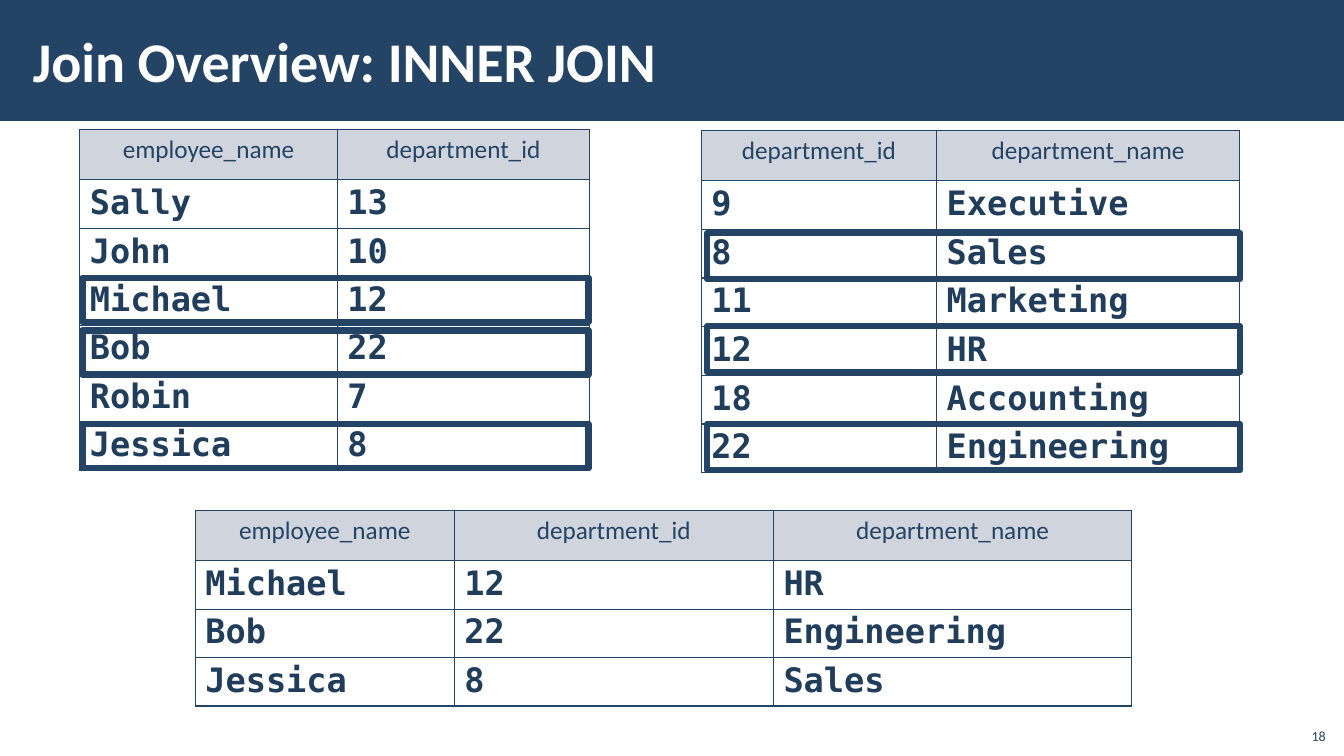
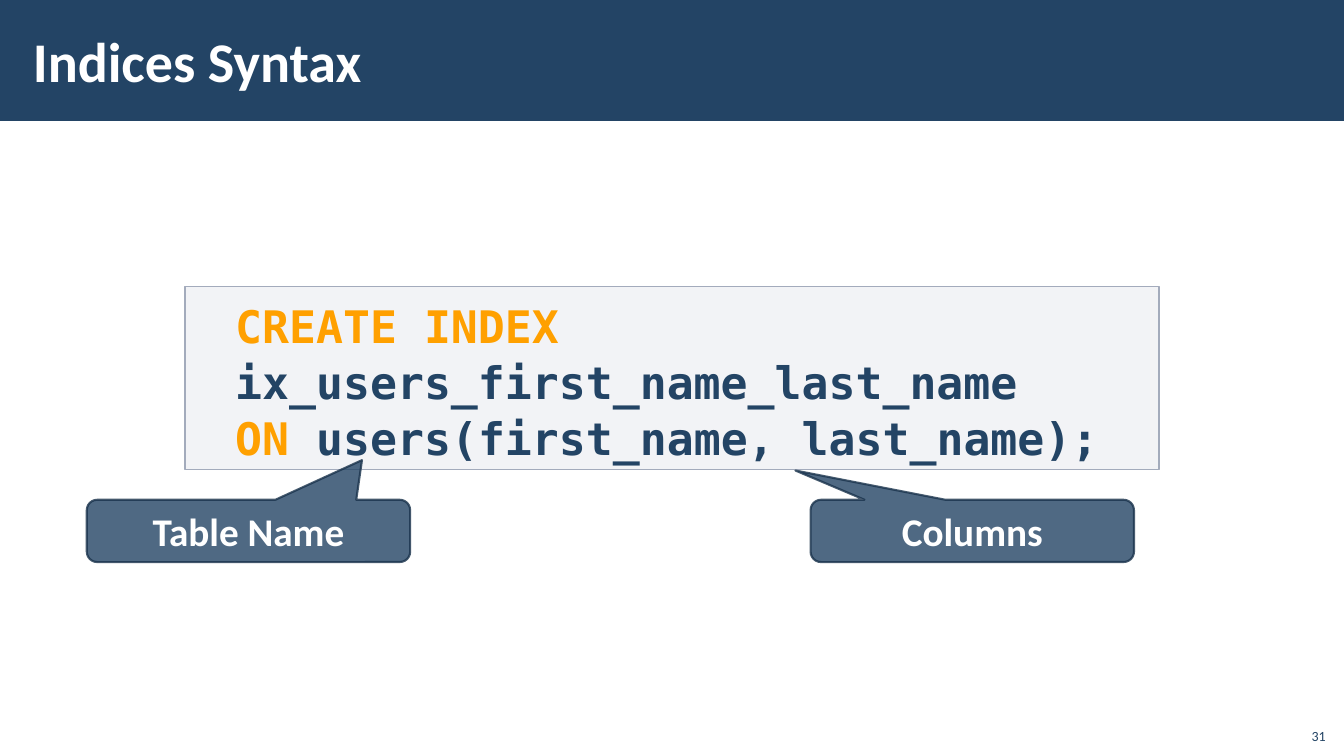
from lxml import etree
from pptx import Presentation
from pptx.dml.color import RGBColor
from pptx.enum import shapes, text
from pptx.oxml import ns
from pptx.util import Pt

COLORS = {
    "navy": "234465",
    "cell_text": "203D5B",
    "edge": "1A334C",
    "grey": "A3ABBC",
    "code_fill": "C2C7D2",
    "keyword": "FFA000",
    "white": "FFFFFF",
}
SANS, MONO = "Calibri", "DejaVu Sans Mono"
SHAPE = shapes.MSO_SHAPE
ALIGN, ANCHOR = text.PP_ALIGN, text.MSO_ANCHOR
HEADER_HEIGHT = 36


def rgb(name):
    return RGBColor.from_string(COLORS[name])


def set_opacity(element, percent):
    """Make every colour already set inside the element translucent."""
    for color in element.iter(ns.qn("a:srgbClr")):
        etree.SubElement(color, ns.qn("a:alpha"), val=str(percent * 1000))


def add_run(paragraph, words, size, color, font=SANS, bold=False):
    run = paragraph.add_run()
    run.text = words
    run.font.size, run.font.name, run.font.bold = Pt(size), font, bold
    run.font.color.rgb = rgb(color)


def set_insets(frame, horizontal, vertical):
    frame.margin_left = frame.margin_right = Pt(horizontal)
    frame.margin_top = frame.margin_bottom = Pt(vertical)


def add_box(slide, kind, box, fill=None, opacity=None, line=None, weight=1):
    shape = slide.shapes.add_shape(kind, *map(Pt, box))
    shape.shadow.inherit = False
    if fill:
        shape.fill.solid()
        shape.fill.fore_color.rgb = rgb(fill)
        if opacity:
            set_opacity(shape.element.spPr, opacity)
    else:
        shape.fill.background()
    if line:
        shape.line.color.rgb = rgb(line)
        shape.line.width = Pt(weight)
    else:
        shape.line.fill.background()
    return shape


def add_label(slide, box, words, size, color, align, anchor, bold=False):
    frame = slide.shapes.add_textbox(*map(Pt, box)).text_frame
    frame.word_wrap = True
    frame.vertical_anchor = anchor
    frame.paragraphs[0].alignment = align
    add_run(frame.paragraphs[0], words, size, color, bold=bold)
    return frame


def add_slide(deck, title, number):
    """Add a slide with the title band and the page number."""
    slide = deck.slides.add_slide(deck.slide_layouts[6])
    add_box(slide, SHAPE.RECTANGLE, (0, 0, 960, 86.4), "navy")
    heading = add_label(slide, (15, 8, 765, 70), title, 40, "white",
                        ALIGN.LEFT, ANCHOR.MIDDLE, bold=True)
    set_insets(heading, 8.5, 3)
    add_label(slide, (925, 512.5, 29, 23), str(number), 10, "navy",
              ALIGN.RIGHT, ANCHOR.BOTTOM)
    return slide


def add_borders(cell):
    properties = cell._tc.get_or_add_tcPr()
    for position, side in enumerate(("lnL", "lnR", "lnT", "lnB")):
        border = etree.Element(ns.qn(f"a:{side}"), w=str(Pt(1)))
        fill = etree.SubElement(border, ns.qn("a:solidFill"))
        etree.SubElement(fill, ns.qn("a:srgbClr"), val=COLORS["navy"])
        properties.insert(position, border)


def fill_cell(cell, words, is_header):
    paragraph = cell.text_frame.paragraphs[0]
    if is_header:
        cell.fill.solid()
        cell.fill.fore_color.rgb = rgb("grey")
        set_opacity(cell._tc.get_or_add_tcPr(), 50)
        paragraph.alignment = ALIGN.CENTER
        add_run(paragraph, words, 18, "navy")
    else:
        cell.fill.background()
        paragraph.line_spacing = 0.95
        add_run(paragraph, words, 24, "cell_text", MONO, bold=True)
    add_borders(cell)


def add_data_table(slide, left, top, widths, row_height, rows):
    height = HEADER_HEIGHT + row_height * (len(rows) - 1)
    table = slide.shapes.add_table(
        len(rows), len(widths), Pt(left), Pt(top), Pt(sum(widths)), Pt(height)).table
    table.first_row = table.horz_banding = False
    for column, width in zip(table.columns, widths):
        column.width = Pt(width)
    for index, row in enumerate(rows):
        table.rows[index].height = Pt(row_height if index else HEADER_HEIGHT)
        for column, words in enumerate(row):
            fill_cell(table.cell(index, column), words, index == 0)


def add_highlights(slide, left, tops, width, height):
    for top in tops:
        add_box(slide, SHAPE.RECTANGLE, (left, top, width, height),
                line="navy", weight=4.5)


def add_code(slide, box, lines):
    """Add a code panel; each line is a list of (words, colour) pairs."""
    panel = add_box(slide, SHAPE.RECTANGLE, box, "code_fill", 20, "grey")
    frame = panel.text_frame
    frame.word_wrap = True
    frame.vertical_anchor = ANCHOR.TOP
    set_insets(frame, 0, 7.2)
    frame.margin_left = Pt(36)
    for index, line in enumerate(lines):
        paragraph = frame.add_paragraph() if index else frame.paragraphs[0]
        paragraph.alignment = ALIGN.LEFT
        paragraph.line_spacing = 1.04
        for words, color in line:
            add_run(paragraph, words, 32, color, MONO, bold=True)


def add_callout(slide, left, words, tip):
    callout = add_box(slide, SHAPE.ROUNDED_RECTANGULAR_CALLOUT,
                      (left, 357, 231, 44.5), "navy", line="edge", weight=1.5)
    set_opacity(callout.element.spPr, 80)
    for index, value in enumerate((*tip, 0.167)):
        callout.adjustments[index] = value
    frame = callout.text_frame
    frame.vertical_anchor = ANCHOR.MIDDLE
    frame.paragraphs[0].alignment = ALIGN.CENTER
    add_run(frame.paragraphs[0], words, 28, "white", bold=True)


def build_inner_join(deck):
    slide = add_slide(deck, "Join Overview: INNER JOIN", 18)
    employees = [
        ("employee_name", "department_id"),
        ("Sally", "13"),
        ("John", "10"),
        ("Michael", "12"),
        ("Bob", "22"),
        ("Robin", "7"),
        ("Jessica", "8"),
    ]
    departments = [
        ("department_id", "department_name"),
        ("9", "Executive"),
        ("8", "Sales"),
        ("11", "Marketing"),
        ("12", "HR"),
        ("18", "Accounting"),
        ("22", "Engineering"),
    ]
    joined = [
        ("employee_name", "department_id", "department_name"),
        ("Michael", "12", "HR"),
        ("Bob", "22", "Engineering"),
        ("Jessica", "8", "Sales"),
    ]
    add_data_table(slide, 57, 92.5, (184, 180), 33.8, employees)
    add_data_table(slide, 501, 93, (168, 216.5), 34.8, departments)
    add_highlights(slide, 59, (198.5, 236, 303), 361.5, 31.5)
    add_highlights(slide, 505, (166.5, 233, 303), 381, 33)
    add_data_table(slide, 139.5, 364.5, (185, 228, 256), 33.8, joined)


def build_indices(deck):
    slide = add_slide(deck, "Indices Syntax", 31)
    add_code(slide, (132, 204.5, 696, 131), [
        [("CREATE INDEX ", "keyword"), ("ix_users_first_name_last_name", "navy")],
        [("ON", "keyword"), (" users(first_name, last_name);", "navy")],
    ])
    add_callout(slide, 62, "Table Name", (0.351, -1.136))
    add_callout(slide, 579, "Columns", (-0.547, -0.97))


def main():
    deck = Presentation()
    deck.slide_width, deck.slide_height = Pt(960), Pt(540)
    build_inner_join(deck)
    build_indices(deck)
    deck.save("out.pptx")


if __name__ == "__main__":
    main()
